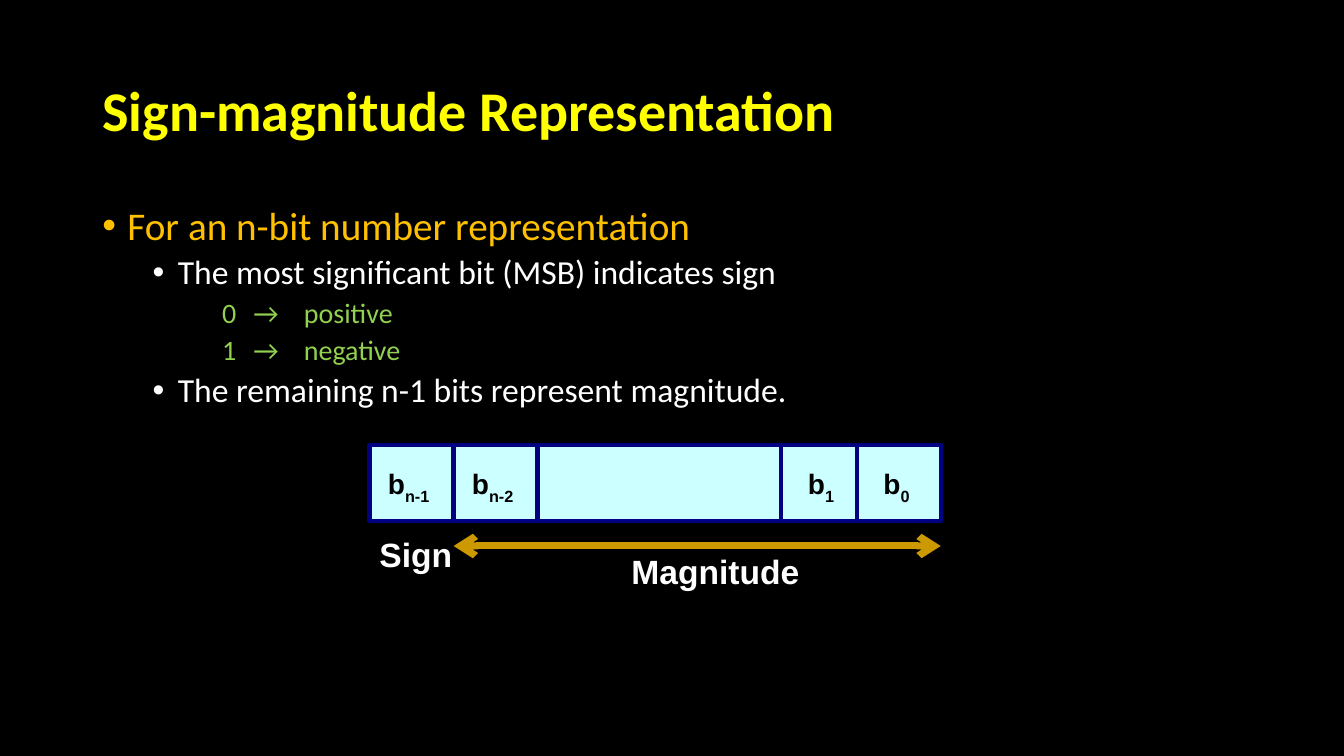
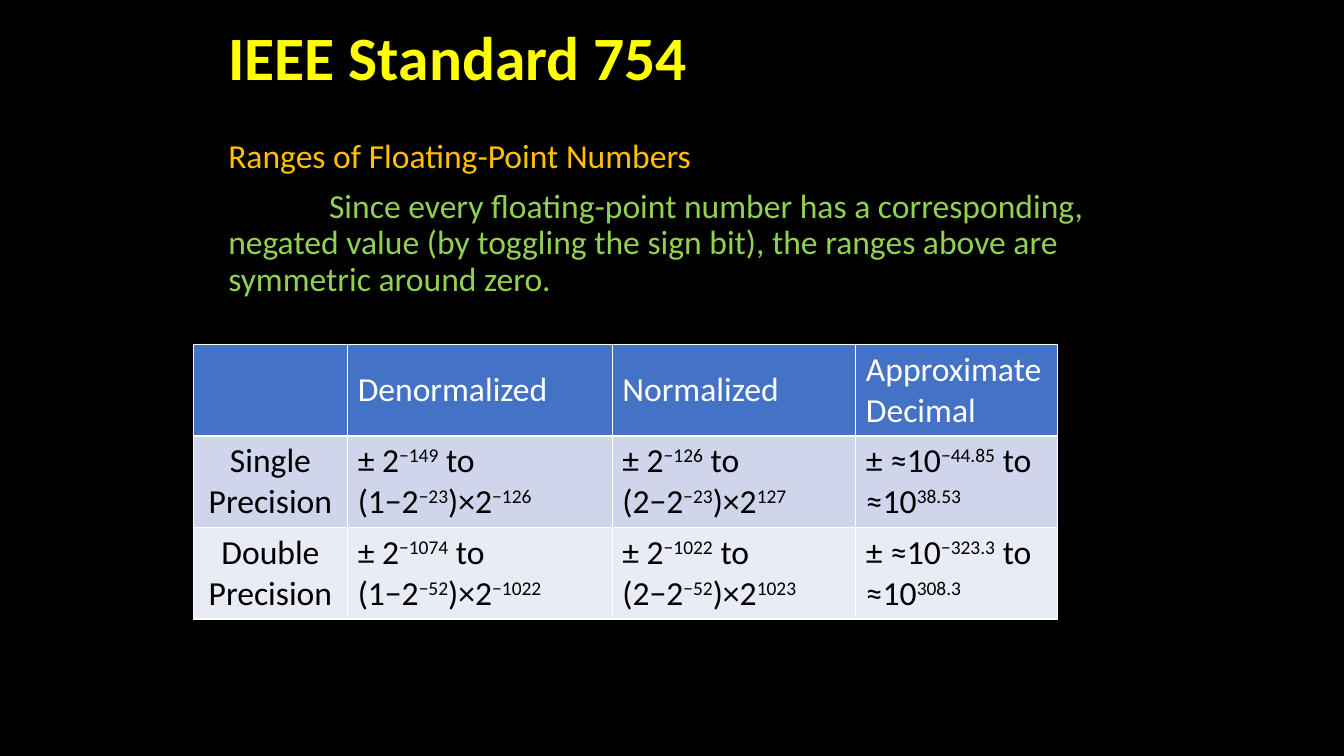
import pptx
import pptx.util
import pptx.dml.color
import pptx.enum.shapes
import pptx.enum.text
import pptx.oxml
import pptx.oxml.ns

Pt, Inches = pptx.util.Pt, pptx.util.Inches
RGB = pptx.dml.color.RGBColor
Anchor = pptx.enum.text.MSO_ANCHOR
Align = pptx.enum.text.PP_ALIGN
qn = pptx.oxml.ns.qn

BLACK = RGB(0x00, 0x00, 0x00)
WHITE = RGB(0xFF, 0xFF, 0xFF)
YELLOW = RGB(0xFF, 0xFF, 0x00)
AMBER = RGB(0xFF, 0xC0, 0x00)
GREEN = RGB(0x92, 0xD0, 0x50)
NAVY = RGB(0x00, 0x00, 0x80)
CYAN = RGB(0xCC, 0xFF, 0xFF)
GOLD = RGB(0xCC, 0x99, 0x00)
BLUE = RGB(0x44, 0x72, 0xC4)
BANDS = [RGB(0xCF, 0xD5, 0xEA), RGB(0xE9, 0xEB, 0xF5)]

COLS, ROWS = 160, 90  # grid cells of 1/12 inch


def put(target, values):
    for name, value in values.items():
        setattr(target, name, value)


def font(size, name="Calibri", bold=False):
    return {"size": Pt(size), "name": name, "bold": bold}


def node(xml):
    space = 'xmlns:a="http://schemas.openxmlformats.org/drawingml/2006/main"'
    return pptx.oxml.parse_xml(xml.replace(" ", f" {space} ", 1))


class Deck:
    def __init__(self):
        self.prs = pptx.Presentation()
        put(self.prs, {"slide_width": self.grid(COLS),
                       "slide_height": self.grid(ROWS)})
        fill = self.prs.slide_master.background.fill
        fill.solid()
        fill.fore_color.rgb = BLACK

    def grid(self, *units):
        sizes = [Inches(unit / 12) for unit in units]
        return sizes if len(sizes) > 1 else sizes[0]

    def runs(self, para, text, style, color, base=0):
        """Add text; every second part between bars is set off by base percent."""
        for turn, part in enumerate(text.split("|")):
            run = para.add_run()
            run.text = part
            put(run.font, style)
            run.font.color.rgb = color
            if turn % 2:
                run.font._element.set("baseline", str(base * 1000))

    def slide(self, title, size, *box):
        self.page = self.prs.slides.add_slide(self.prs.slide_layouts[5])
        head = self.page.shapes.title
        put(head, dict(zip(("left", "top", "width", "height"), self.grid(*box))))
        put(head.text_frame, {"vertical_anchor": Anchor.MIDDLE, "word_wrap": True,
                              "auto_size": pptx.enum.text.MSO_AUTO_SIZE.NONE})
        para = head.text_frame.paragraphs[0]
        put(para, {"alignment": Align.LEFT, "line_spacing": 0.9})
        self.runs(para, title, font(size, bold=True), YELLOW)

    def frame(self, *box):
        frame = self.page.shapes.add_textbox(*self.grid(*box)).text_frame
        frame.word_wrap = True
        return frame

    def label(self, text, size, color, *box):
        para = self.frame(*box).paragraphs[0]
        self.runs(para, text, font(size, "Arial", True), color, -25)

    def body(self, items, *box):
        """Items are text, size, colour, space before, margin, indent, bullet, tabs."""
        frame = self.frame(*box)
        for turn, item in enumerate(items):
            text, size, color, space, margin, indent, bullet, tabs = item
            para = frame.add_paragraph() if turn else frame.paragraphs[0]
            put(para, {"line_spacing": 0.9, "space_before": Pt(space)})
            self.runs(para, text, font(size), color)
            props = para._p.get_or_add_pPr()
            props.set("marL", str(Inches(margin)))
            props.set("indent", str(Inches(indent)))
            if bullet:
                props.append(node('<a:buFont typeface="Arial"/>'))
                props.append(node('<a:buChar char="•"/>'))
            if tabs:
                stops = "".join(f'<a:tab pos="{Inches(stop)}" algn="l"/>'
                                for stop in tabs)
                props.append(node(f"<a:tabLst >{stops}</a:tabLst>"))

    def rect(self, fill, edge, width, *box):
        kind = pptx.enum.shapes.MSO_SHAPE.RECTANGLE
        shape = self.page.shapes.add_shape(kind, *self.grid(*box))
        shape.shadow.inherit = False
        shape.fill.solid()
        shape.fill.fore_color.rgb = fill
        shape.line.color.rgb = edge
        shape.line.width = Pt(width)

    def line(self, color, width, *ends, arrows=False):
        kind = pptx.enum.shapes.MSO_CONNECTOR.STRAIGHT
        line = self.page.shapes.add_connector(kind, *self.grid(*ends))
        line.line.color.rgb = color
        line.line.width = Pt(width)
        props = line._element.spPr
        if arrows:
            for end in ("headEnd", "tailEnd"):
                props.find(qn("a:ln")).append(node(f'<a:{end} type="arrow"/>'))
        props.append(node("<a:effectLst />"))

    def table(self, data, widths, height, left, top):
        box = self.grid(left, top, sum(widths), height * len(data))
        table = self.page.shapes.add_table(len(data), len(widths), *box).table
        put(table, {"first_row": False, "horz_banding": False})
        for column, width in zip(table.columns, widths):
            column.width = self.grid(width)
        for row, texts in enumerate(data):
            table.rows[row].height = self.grid(height)
            for col, text in enumerate(texts):
                self.cell(table.cell(row, col), text, row, col)

    def cell(self, cell, text, row, col):
        side = row > 0 and col == 0
        cell.fill.solid()
        cell.fill.fore_color.rgb = BANDS[row - 1] if row else BLUE
        cell.vertical_anchor = Anchor.TOP if side else Anchor.MIDDLE
        para = cell.text_frame.paragraphs[0]
        para.alignment = Align.CENTER if side else Align.LEFT
        self.runs(para, text, font(24), BLACK if row else WHITE, 30)
        props = cell._tc.get_or_add_tcPr()
        for turn, edge in enumerate("LRTB"):
            props.insert(turn, node(
                f'<a:ln{edge} w="{Pt(1)}"><a:solidFill><a:srgbClr val="{WHITE}"/>'
                f"</a:solidFill></a:ln{edge}>"))


def sign(deck):
    deck.slide("Sign-magnitude Representation", 40, 11, 4.8, 138, 17.4)
    second = (24, WHITE, 5, 0.75, -0.25, True, ())
    third = (20, GREEN, 5, 0, 1.19, False, (1.45, 1.83))
    deck.body([
        ("For an n-bit number representation", 28, AMBER, 10, 0.25, -0.25, True, ()),
        ("The most significant bit (MSB) indicates sign", *second),
        ("0\t→\tpositive", *third),
        ("1\t→\tnegative", *third),
        ("The remaining n-1 bits represent magnitude.", *second),
    ], 11, 24, 138, 57)
    left, top, width, height = 44, 53, 68, 9
    deck.rect(CYAN, NAVY, 3, left, top, width, height)
    for split in (54, 64, 93, 102):
        deck.line(NAVY, 3, split, top, split, top + height)
    for bit, start in (("n-1", 45), ("n-2", 55), ("1", 95), ("0", 104)):
        deck.label(f"b|{bit}", 20, BLACK, start, top + 2, 10, 5.2)
    deck.line(GOLD, 5, 54, 65, left + width, 65, arrows=True)
    deck.label("Magnitude", 24, WHITE, 74, 65, 36, 6)
    deck.label("Sign", 24, WHITE, left, 63, 13, 6)


def ranges(deck):
    deck.slide("IEEE Standard 754", 44, 26, 2, 108, 10.4)
    deck.body([
        ("Ranges of Floating-Point Numbers", 24, AMBER, 10, 0, 0, False, ()),
        ("Since every floating-point number has a corresponding, negated value "
         "(by toggling the sign bit), the ranges above are symmetric around zero.",
         24, GREEN, 10, 0, 1, False, ()),
    ], 26, 16, 108, 22)
    deck.table([
        ("", "Denormalized", "Normalized", "Approximate Decimal"),
        ("Single Precision", "± 2|−149| to (1−2|−23|)×2|−126",
         "± 2|−126| to (2−2|−23|)×2|127", "± ≈10|−44.85| to ≈10|38.53"),
        ("Double Precision", "± 2|−1074| to (1−2|−52|)×2|−1022",
         "± 2|−1022| to (2−2|−52|)×2|1023", "± ≈10|−323.3| to ≈10|308.3"),
    ], (18.4, 31.5, 29, 24), 10.9, 23, 41)


def main():
    deck = Deck()
    sign(deck)
    ranges(deck)
    deck.prs.save("out.pptx")


if __name__ == "__main__":
    main()
